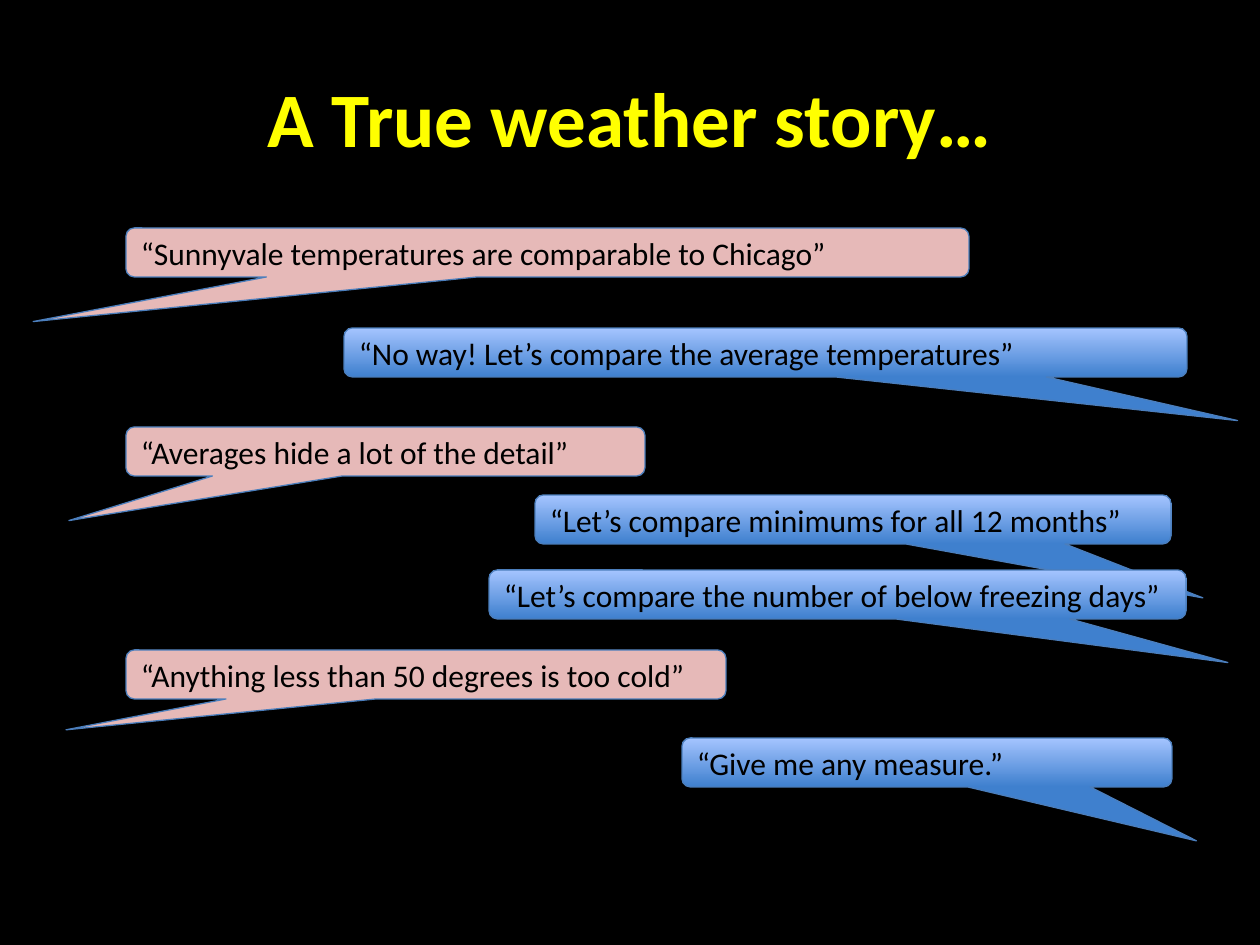
from dataclasses import dataclass

from pptx import Presentation
from pptx.dml.color import RGBColor
from pptx.enum.shapes import MSO_SHAPE
from pptx.enum.text import MSO_ANCHOR, PP_ALIGN
from pptx.shapes.autoshape import Shape
from pptx.slide import Slide
from pptx.text.text import TextFrame
from pptx.util import Emu, Pt

CALLOUT = MSO_SHAPE.ROUNDED_RECTANGULAR_CALLOUT
MIDDLE = MSO_ANCHOR.MIDDLE
LEFT = PP_ALIGN.LEFT
CENTER = PP_ALIGN.CENTER

EMU_PER_PIXEL = 914400 / 126
TITLE_ONLY_LAYOUT = 5
CALLOUT_HEIGHT = 49
CORNER = 0.17


@dataclass(frozen=True)
class Theme:
    font: str = "Calibri"
    background: RGBColor = RGBColor(0, 0, 0)
    title: RGBColor = RGBColor(0xFF, 0xFF, 0)
    text: RGBColor = RGBColor(0, 0, 0)
    outline: RGBColor = RGBColor(0x4B, 0x7E, 0xBC)
    pink: RGBColor = RGBColor(0xE6, 0xB9, 0xB8)
    blue_bottom: RGBColor = RGBColor(0x3F, 0x80, 0xCE)
    blue_top: RGBColor = RGBColor(0xA4, 0xC4, 0xFF)
    title_size: int = 44
    text_size: int = 18
    outline_width: float = 0.75


@dataclass(frozen=True)
class Remark:
    text: str
    left: int
    top: int
    width: int
    tail: tuple[float, float]

    @property
    def is_claim(self) -> bool:
        return self.tail[0] < 0


THEME = Theme()
CLAIM_TAIL = (-0.61, 1.41)
REPLY_TAIL = (0.56, 1.39)
STEEP_REPLY_TAIL = (0.55, 1.6)

REMARKS = (
    Remark("“Sunnyvale temperatures are comparable to Chicago”", 126, 228, 843, CLAIM_TAIL),
    Remark("“No way! Let’s compare the average temperatures”", 344, 328, 843, REPLY_TAIL),
    Remark("“Averages hide a lot of the detail”", 126, 427, 519, CLAIM_TAIL),
    Remark("“Anything less than 50 degrees is too cold”", 126, 650, 600, (-0.6, 1.13)),
    Remark("“Give me any measure.”", 682, 738, 490, STEEP_REPLY_TAIL),
    Remark("“Let’s compare minimums for all 12 months”", 535, 495, 636, STEEP_REPLY_TAIL),
    Remark("“Let’s compare the number of below freezing days”", 489, 570, 697, REPLY_TAIL),
)


def pixels(length: int) -> Emu:
    return Emu(round(length * EMU_PER_PIXEL))


def write_text(frame: TextFrame, text: str, size: int, color: RGBColor,
               alignment: PP_ALIGN, bold: bool = False) -> None:
    frame.word_wrap = True
    frame.vertical_anchor = MIDDLE
    paragraph = frame.paragraphs[0]
    paragraph.alignment = alignment
    run = paragraph.add_run()
    run.text = text
    run.font.name = THEME.font
    run.font.size = Pt(size)
    run.font.bold = bold
    run.font.color.rgb = color


def fill_callout(shape: Shape, is_claim: bool) -> None:
    if is_claim:
        shape.fill.solid()
        shape.fill.fore_color.rgb = THEME.pink
        return
    shape.fill.gradient()
    shape.fill.gradient_angle = 90
    for stop, color in zip(shape.fill.gradient_stops, (THEME.blue_bottom, THEME.blue_top)):
        stop.color.rgb = color


def add_remark(slide: Slide, remark: Remark) -> None:
    shape = slide.shapes.add_shape(
        CALLOUT, pixels(remark.left), pixels(remark.top),
        pixels(remark.width), pixels(CALLOUT_HEIGHT))
    for index, value in enumerate((*remark.tail, CORNER)):
        shape.adjustments[index] = value
    shape.shadow.inherit = False
    fill_callout(shape, remark.is_claim)
    shape.line.color.rgb = THEME.outline
    shape.line.width = Pt(THEME.outline_width)
    write_text(shape.text_frame, remark.text, THEME.text_size, THEME.text, LEFT)


def add_title(slide: Slide, text: str) -> None:
    title = slide.shapes.title
    title.left, title.top = pixels(63), pixels(38)
    title.width, title.height = pixels(1134), pixels(158)
    write_text(title.text_frame, text, THEME.title_size, THEME.title, CENTER, bold=True)


def build() -> None:
    presentation = Presentation()
    presentation.slide_width = pixels(1260)
    presentation.slide_height = pixels(945)
    slide = presentation.slides.add_slide(presentation.slide_layouts[TITLE_ONLY_LAYOUT])
    slide.background.fill.solid()
    slide.background.fill.fore_color.rgb = THEME.background
    add_title(slide, "A True weather story…")
    for remark in REMARKS:
        add_remark(slide, remark)
    presentation.save("out.pptx")


build()
